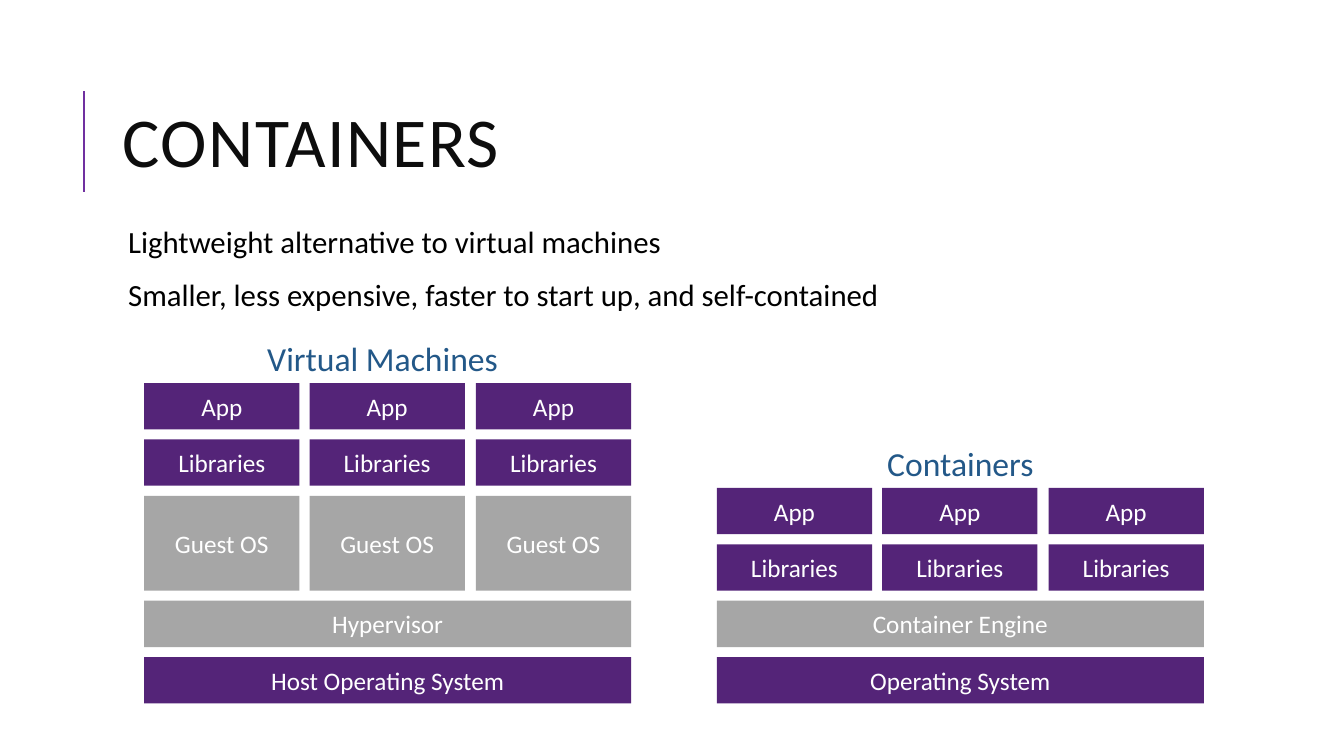
import pptx
import pptx.util
import pptx.dml.color
import pptx.enum.shapes
import pptx.enum.text
import pptx.oxml.ns
from lxml import etree

EMU_PER_PX = 9144  # 100 px to the inch
FONT = "Calibri"
PURPLE, GREY, WHITE = "542478", "A6A6A6", "FFFFFF"
ACCENT, HEADING_BLUE = "7030A0", "235888"

STACK_BOTTOM = 698
STACK_WIDTH = 483
COLUMNS = 3
COLUMN_WIDTH = 154
ROW_HEIGHT, TALL_ROW_HEIGHT = 46, 94
ROW_GAP = 10

# Rows from the bottom up: label, number of boxes, height, fill
MACHINE_ROWS = [
    ("Host Operating System", 1, ROW_HEIGHT, PURPLE),
    ("Hypervisor", 1, ROW_HEIGHT, GREY),
    ("Guest OS", COLUMNS, TALL_ROW_HEIGHT, GREY),
    ("Libraries", COLUMNS, ROW_HEIGHT, PURPLE),
    ("App", COLUMNS, ROW_HEIGHT, PURPLE),
]
CONTAINER_ROWS = [
    ("Operating System", 1, ROW_HEIGHT, PURPLE),
    ("Container Engine", 1, ROW_HEIGHT, GREY),
    ("Libraries", COLUMNS, ROW_HEIGHT, PURPLE),
    ("App", COLUMNS, ROW_HEIGHT, PURPLE),
]


def px(length):
    return pptx.util.Emu(length * EMU_PER_PX)


def color(hex_string):
    return pptx.dml.color.RGBColor.from_string(hex_string)


def format_paragraph(paragraph, size, hex_string, centered=False):
    if centered:
        paragraph.alignment = pptx.enum.text.PP_ALIGN.CENTER
    for run in paragraph.runs:
        run.font.name = FONT
        run.font.size = pptx.util.Pt(size)
        run.font.color.rgb = color(hex_string)


def add_text(slide, left, top, width, height, lines, size, hex_string, centered=False):
    shape = slide.shapes.add_textbox(px(left), px(top), px(width), px(height))
    text_frame = shape.text_frame
    text_frame.word_wrap = True
    text_frame.text = "\n".join(lines)
    for paragraph in text_frame.paragraphs:
        format_paragraph(paragraph, size, hex_string, centered)
    return text_frame


def add_title(slide, text):
    text_frame = add_text(slide, 112, 64, 1063, 164, [text], 50, "0D0D0D")
    text_frame.vertical_anchor = pptx.enum.text.MSO_ANCHOR.MIDDLE
    paragraph = text_frame.paragraphs[0]
    paragraph.line_spacing = 0.8
    paragraph.runs[0].font._element.set("spc", "100")


def add_body(slide, lines):
    text_frame = add_text(slide, 107, 220, 1063, 440, lines, 22, "000000")
    text_frame.margin_left = text_frame.margin_right = px(5)
    text_frame.margin_top = text_frame.margin_bottom = px(5)
    for paragraph in text_frame.paragraphs:
        paragraph.line_spacing = 0.9
        paragraph.space_before = pptx.util.Pt(12)
        paragraph.space_after = pptx.util.Pt(2)
        # Hanging indent with a blank bullet
        properties = paragraph._p.get_or_add_pPr()
        properties.set("marL", str(px(10)))
        properties.set("indent", str(px(-10)))
        bullet = etree.SubElement(properties, pptx.oxml.ns.qn("a:buChar"))
        bullet.set("char", " ")


def add_accent_line(slide):
    line = slide.shapes.add_connector(
        pptx.enum.shapes.MSO_CONNECTOR.STRAIGHT, px(83), px(190), px(83), px(90))
    line.line.color.rgb = color(ACCENT)
    line.line.width = pptx.util.Pt(1.5)
    etree.SubElement(line._element.spPr, pptx.oxml.ns.qn("a:effectLst"))


def add_box(slide, left, top, width, height, label, fill):
    shape = slide.shapes.add_shape(
        pptx.enum.shapes.MSO_SHAPE.RECTANGLE, px(left), px(top), px(width), px(height))
    shape.shadow.inherit = False
    shape.fill.solid()
    shape.fill.fore_color.rgb = color(fill)
    shape.line.fill.background()
    shape.text_frame.text = label
    shape.text_frame.vertical_anchor = pptx.enum.text.MSO_ANCHOR.MIDDLE
    format_paragraph(shape.text_frame.paragraphs[0], 18, WHITE, centered=True)


def add_stack(slide, left, rows, heading, heading_left):
    top = STACK_BOTTOM + ROW_GAP
    column_step = (STACK_WIDTH - COLUMN_WIDTH) / (COLUMNS - 1)
    for label, count, height, fill in rows:
        top -= ROW_GAP + height
        width = STACK_WIDTH if count == 1 else COLUMN_WIDTH
        for column in range(count):
            add_box(slide, left + round(column * column_step), top, width, height, label, fill)
    add_text(slide, heading_left, top - 50, 493, 50, [heading], 24, HEADING_BLUE, centered=True)


def main():
    presentation = pptx.Presentation()
    presentation.slide_width = px(1333)
    presentation.slide_height = px(750)
    slide = presentation.slides.add_slide(presentation.slide_layouts[6])

    # Title and introduction
    add_accent_line(slide)
    add_title(slide, "CONTAINERS")
    add_body(slide, [
        "Lightweight alternative to virtual machines",
        "Smaller, less expensive, faster to start up, and self-contained",
    ])

    # Comparison of the two stacks
    add_stack(slide, 143, MACHINE_ROWS, "Virtual Machines", 133)
    add_stack(slide, 711, CONTAINER_ROWS, "Containers", 706)

    presentation.save("out.pptx")


if __name__ == "__main__":
    main()
